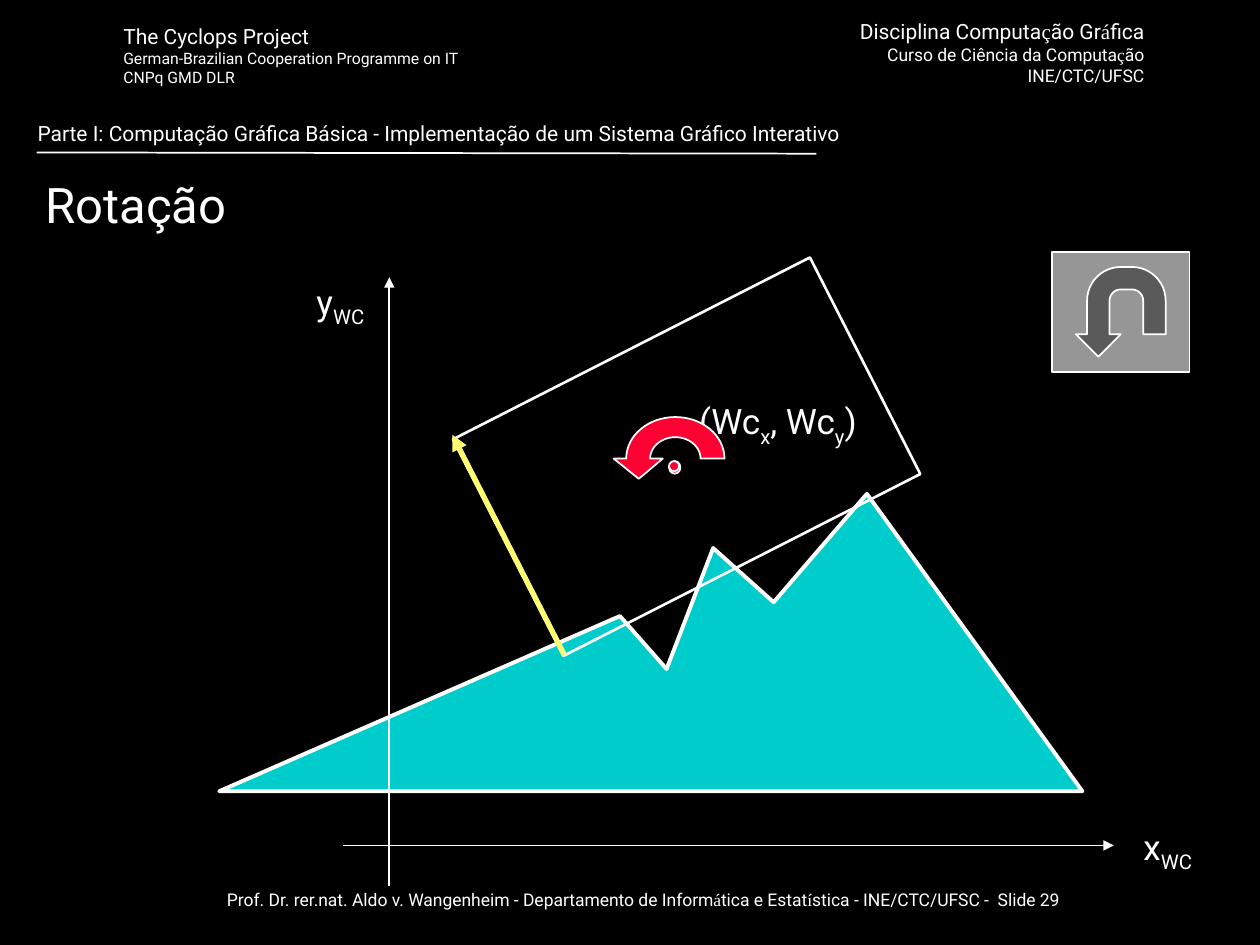
import math

import pptx
import pptx.dml.color
import pptx.enum.shapes
import pptx.enum.text
import pptx.oxml.ns
import pptx.util
from lxml import etree

Inches = pptx.util.Inches
SHAPES = pptx.enum.shapes.MSO_SHAPE
ALIGN = pptx.enum.text.PP_ALIGN

COLORS = {"black": "000000", "white": "FFFFFF", "mountain": "00CCCC",
          "up": "FFFC6F", "pivot": "FF0033", "button": "969696"}
FONT = "Roboto"
ACCENT_FONT = "Times New Roman"
TITLE = "Rotação"

# Segments alternate between regular text and accented or subscript text.
TEXTS = [
    {"at": (6.17, 0.1, 3.01, 0.64), "align": ALIGN.RIGHT, "lines": [
        (12, ["Disciplina Computa", "ç", "ão Gr", "á", "fica"]),
        (10, ["Curso de Ciência da Computa", "ç", "ão"]),
        (10, ["INE/CTC/UFSC"])]},
    {"at": (0.88, 0.14, 3.59, 0.6), "lines": [
        (12, ["The Cyclops Project"]),
        (9, ["German-Brazilian Cooperation Programme on IT"]),
        (9, ["CNPq GMD DLR"])]},
    {"at": (0.69, 7.01, 8.83, 0.44), "align": ALIGN.CENTER, "lines": [
        (10, ["Prof. Dr. rer.nat. Aldo v. Wangenheim - Departamento de Inform",
              "á", "tica e Estat", "í", "stica - INE/CTC/UFSC -  Slide 29"])]},
    {"at": (0.2, 0.91, 9.5, 0.3), "lines": [
        (12, ["Parte I: Computação Gráfica Básica - Implementação de um "
              "Sistema Gráfico Interativo"])]},
]
LABELS = [
    {"at": (2.31, 2.18, 0.68, 0.48), "align": ALIGN.RIGHT, "sub": -25,
     "lines": [(20, ["y", "WC"])]},
    {"at": (5.45, 3.12, 1.73, 0.89), "sub": -30,
     "lines": [(20, ["(Wc", "x", ", Wc", "y", ")"])]},
    {"at": (8.89, 6.5, 0.67, 0.48), "align": ALIGN.RIGHT, "sub": -25,
     "lines": [(20, ["x", "WC"])]},
]
MOUNTAIN = [(8.59, 6.28), (1.74, 6.28), (4.92, 4.89), (5.29, 5.31),
            (5.66, 4.35), (6.14, 4.78), (6.88, 3.92)]
RULE = ((0.29, 1.21), (6.48, 1.22))
AXES = [((3.09, 7.03), (3.09, 2.2)), ((2.72, 6.71), (8.84, 6.71))]
UP_VECTOR = ((4.48, 5.2), (3.59, 3.45))
WINDOW = (3.86, 2.66, 3.18, 1.93)
PIVOTS = [(5.31, 3.66, 0.09, 0.1), (5.31, 3.66, 0.08, 0.08)]
BUTTON = (8.35, 2, 1.09, 0.95)
TURN_CENTER = (5.36, 3.64)
TURN_INNER = (0.2, 0.17)
TURN_OUTER = (0.39, 0.33)
TURN_HEAD = [(4.87, 3.64), (5.07, 3.8), (5.26, 3.64)]


def color(name):
    return pptx.dml.color.RGBColor.from_string(COLORS[name])


def style_span(span, size):
    span.font.size = pptx.util.Pt(size)
    span.font.name = FONT
    span.font.color.rgb = color("white")


def add_text(page, at, lines, align=ALIGN.LEFT, sub=None):
    box = page.shapes.add_textbox(*map(Inches, at))
    frame = box.text_frame
    frame.word_wrap = True
    for row, (size, segments) in enumerate(lines):
        para = frame.add_paragraph() if row else frame.paragraphs[0]
        para.alignment = align
        for index, segment in enumerate(segments):
            span = para.add_run()
            span.text = segment
            style_span(span, size)
            if index % 2 and sub:
                span.font._element.set("baseline", str(sub * 1000))
            elif index % 2:
                span.font.name = ACCENT_FONT


def paint(shape, fill, width):
    shape.shadow.inherit = False
    if fill:
        shape.fill.solid()
        shape.fill.fore_color.rgb = color(fill)
    else:
        shape.fill.background()
    shape.line.color.rgb = color("white")
    shape.line.width = pptx.util.Pt(width)


def add_preset(page, kind, at, fill=None, width=1):
    shape = page.shapes.add_shape(kind, *map(Inches, at))
    paint(shape, fill, width)
    return shape


def add_outline(page, points, fill, width):
    scaled = [(Inches(x), Inches(y)) for x, y in points]
    builder = page.shapes.build_freeform(*scaled[0], scale=1.0)
    builder.add_line_segments(scaled[1:], close=True)
    paint(builder.convert_to_shape(), fill, width)


def add_line(page, start, end, name="white", width=1, arrow=True):
    line = page.shapes.add_connector(
        pptx.enum.shapes.MSO_CONNECTOR.STRAIGHT, *map(Inches, start + end))
    line.line.color.rgb = color(name)
    line.line.width = pptx.util.Pt(width)
    qn = pptx.oxml.ns.qn
    if arrow:
        etree.SubElement(line.line._get_or_add_ln(), qn("a:tailEnd"),
                         type="triangle")
    etree.SubElement(line._element.spPr, qn("a:effectLst"))


def half_arc(radii, steps=32):
    angles = [math.pi * (1 + step / steps) for step in range(steps + 1)]
    return [(TURN_CENTER[0] + radii[0] * math.cos(angle),
             TURN_CENTER[1] + radii[1] * math.sin(angle)) for angle in angles]


def main():
    deck = pptx.Presentation()
    deck.slide_width, deck.slide_height = Inches(10), Inches(7.5)
    page = deck.slides.add_slide(deck.slide_layouts[5])
    page.background.fill.solid()
    page.background.fill.fore_color.rgb = color("black")

    title = page.shapes.title
    title.left, title.top, title.width, title.height = map(
        Inches, (0.26, 1.29, 9.4, 0.65))
    title.text_frame.text = TITLE
    title.text_frame.vertical_anchor = pptx.enum.text.MSO_ANCHOR.MIDDLE
    heading = title.text_frame.paragraphs[0]
    heading.alignment = ALIGN.LEFT
    style_span(heading.runs[0], 28)

    for text in TEXTS:
        add_text(page, **text)
    add_line(page, *RULE, arrow=False)
    add_outline(page, MOUNTAIN, "mountain", 2.25)
    for start, end in AXES:
        add_line(page, start, end)
    for label in LABELS:
        add_text(page, **label)

    window = add_preset(page, SHAPES.RECTANGLE, WINDOW, width=1.5)
    window.rotation = 333
    add_line(page, *UP_VECTOR, name="up", width=3)
    for at in PIVOTS:
        add_preset(page, SHAPES.OVAL, at, "pivot")
    turn = half_arc(TURN_INNER) + half_arc(TURN_OUTER)[::-1] + TURN_HEAD
    add_outline(page, turn, "pivot", 1)

    button = add_preset(page, SHAPES.ACTION_BUTTON_RETURN, BUTTON, "button")
    for flip in ("flipH", "flipV"):
        button._element.spPr.xfrm.set(flip, "1")

    deck.save("out.pptx")


if __name__ == "__main__":
    main()
